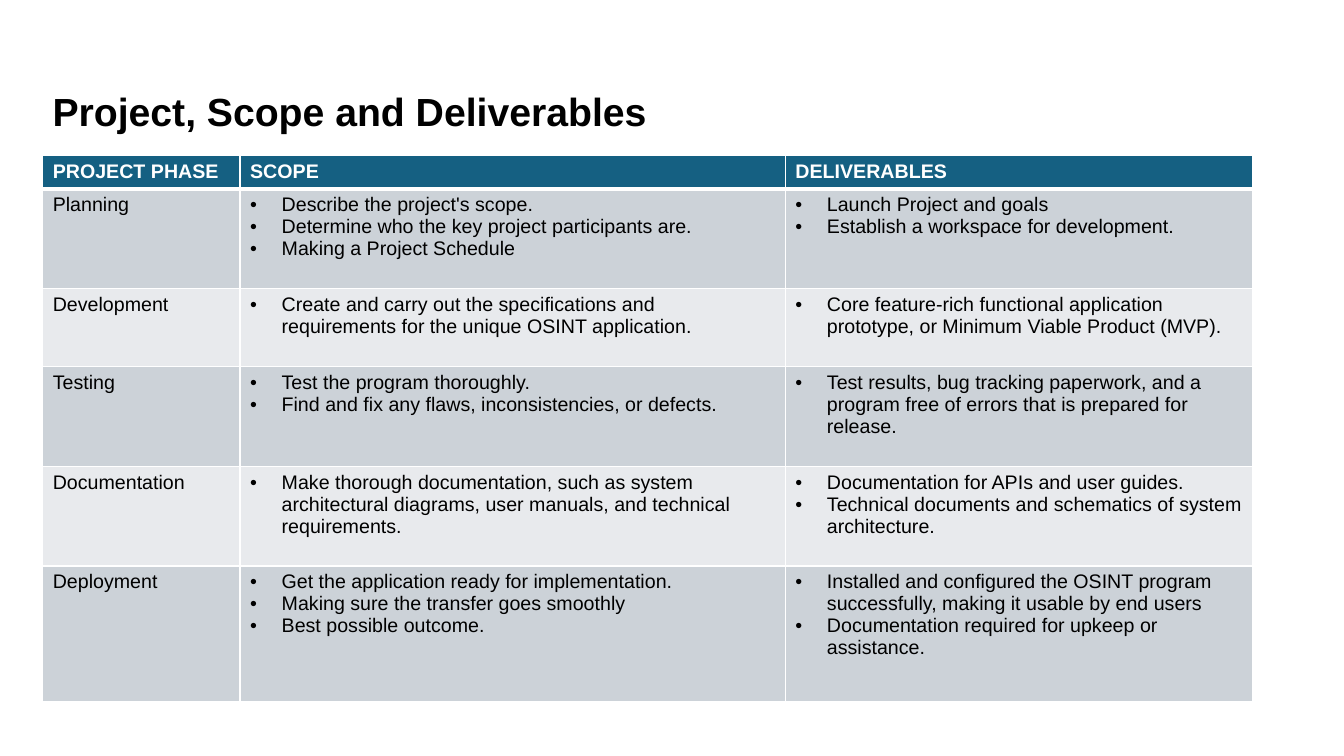
from dataclasses import dataclass

from lxml import etree
from pptx import Presentation
from pptx.dml.color import RGBColor
from pptx.enum.text import MSO_ANCHOR, PP_ALIGN
from pptx.oxml.ns import qn
from pptx.util import Pt

MIDDLE = MSO_ANCHOR.MIDDLE
JUSTIFY = PP_ALIGN.JUSTIFY


@dataclass(frozen=True)
class Theme:
    font: str = "Arial"
    title: int = 28
    body: int = 14
    black: str = "000000"
    white: str = "FFFFFF"
    head: str = "156082"
    bands: tuple = ("CCD2D8", "E8EAED")


THEME = Theme()
HEADS = ["PROJECT PHASE", "SCOPE", "DELIVERABLES"]
PHASES = [
    ("Planning",
     ["Describe the project's scope.",
      "Determine who the key project participants are.",
      "Making a Project Schedule"],
     ["Launch Project and goals",
      "Establish a workspace for development."]),
    ("Development",
     ["Create and carry out the specifications and requirements for the unique OSINT application."],
     ["Core feature-rich functional application prototype, or Minimum Viable Product (MVP)."]),
    ("Testing",
     ["Test the program thoroughly.",
      "Find and fix any flaws, inconsistencies, or defects."],
     ["Test results, bug tracking paperwork, and a program free of errors that is prepared for release."]),
    ("Documentation",
     ["Make thorough documentation, such as system architectural diagrams, user manuals, "
      "and technical requirements."],
     ["Documentation for APIs and user guides.",
      "Technical documents and schematics of system architecture."]),
    ("Deployment",
     ["Get the application ready for implementation.",
      "Making sure the transfer goes smoothly",
      "Best possible outcome."],
     ["Installed and configured the OSINT program successfully, making it usable by end users",
      "Documentation required for upkeep or assistance."]),
]
WIDTHS = [141, 389.5, 333.5]
HEIGHTS = [23, 71.3, 55.4, 71.3, 71.3, 96.5]


def style(para, size, color, bold):
    for run in para.runs:
        run.font.name = THEME.font
        run.font.size = Pt(size)
        run.font.bold = bold
        run.font.color.rgb = RGBColor.from_string(color)


def add_title(slide, left, top, width, height):
    box = slide.shapes.add_textbox(Pt(left), Pt(top), Pt(width), Pt(height))
    frame = box.text_frame
    frame.word_wrap = True
    frame.vertical_anchor = MIDDLE
    frame.text = "Project, Scope and Deliverables"
    para = frame.paragraphs[0]
    para.alignment = JUSTIFY
    para.line_spacing = 0.9
    style(para, THEME.title, THEME.black, True)


def add_bullet(para):
    props = para._p.get_or_add_pPr()
    props.set("marL", str(Pt(22.5)))
    props.set("indent", str(-Pt(22.5)))
    etree.SubElement(props, qn("a:buFont"), typeface=THEME.font)
    etree.SubElement(props, qn("a:buChar"), char="•")


def add_edges(cell, top, bottom):
    props = cell._tc.get_or_add_tcPr()
    edges = [("L", 1), ("R", 1), ("T", top), ("B", bottom)]
    for spot, (side, width) in enumerate(edges):
        line = etree.Element(qn(f"a:ln{side}"), w=str(Pt(width)))
        fill = etree.SubElement(line, qn("a:solidFill"))
        etree.SubElement(fill, qn("a:srgbClr"), val=THEME.white)
        props.insert(spot, line)


def fill_cell(cell, lines, row, col):
    head = row == 0
    cell.fill.solid()
    shade = THEME.head if head else THEME.bands[(row - 1) % 2]
    cell.fill.fore_color.rgb = RGBColor.from_string(shade)
    add_edges(cell, 3 if row == 1 else 1, 3 if head else 1)
    cell.text_frame.text = "\n".join(lines)
    for para in cell.text_frame.paragraphs:
        style(para, THEME.body, THEME.white if head else THEME.black, head)
        if col and not head:
            add_bullet(para)


def add_phases(slide, left, top, width, height):
    rows = [[[head] for head in HEADS]]
    rows += [[[name], scope, goods] for name, scope, goods in PHASES]
    frame = slide.shapes.add_table(
        len(rows), len(HEADS), Pt(left), Pt(top), Pt(width), Pt(height))
    table = frame.table
    for col, size in zip(table.columns, WIDTHS):
        col.width = Pt(size)
    for row, size in zip(table.rows, HEIGHTS):
        row.height = Pt(size)
    for row, cells in enumerate(rows):
        for col, lines in enumerate(cells):
            fill_cell(table.cell(row, col), lines, row, col)


def main():
    deck = Presentation()
    deck.slide_width, deck.slide_height = Pt(960), Pt(540)
    slide = deck.slides.add_slide(deck.slide_layouts[6])
    add_title(slide, 30.5, 29, 864, 104.4)
    add_phases(slide, 30.5, 111, sum(WIDTHS), sum(HEIGHTS))
    deck.save("out.pptx")


if __name__ == "__main__":
    main()
